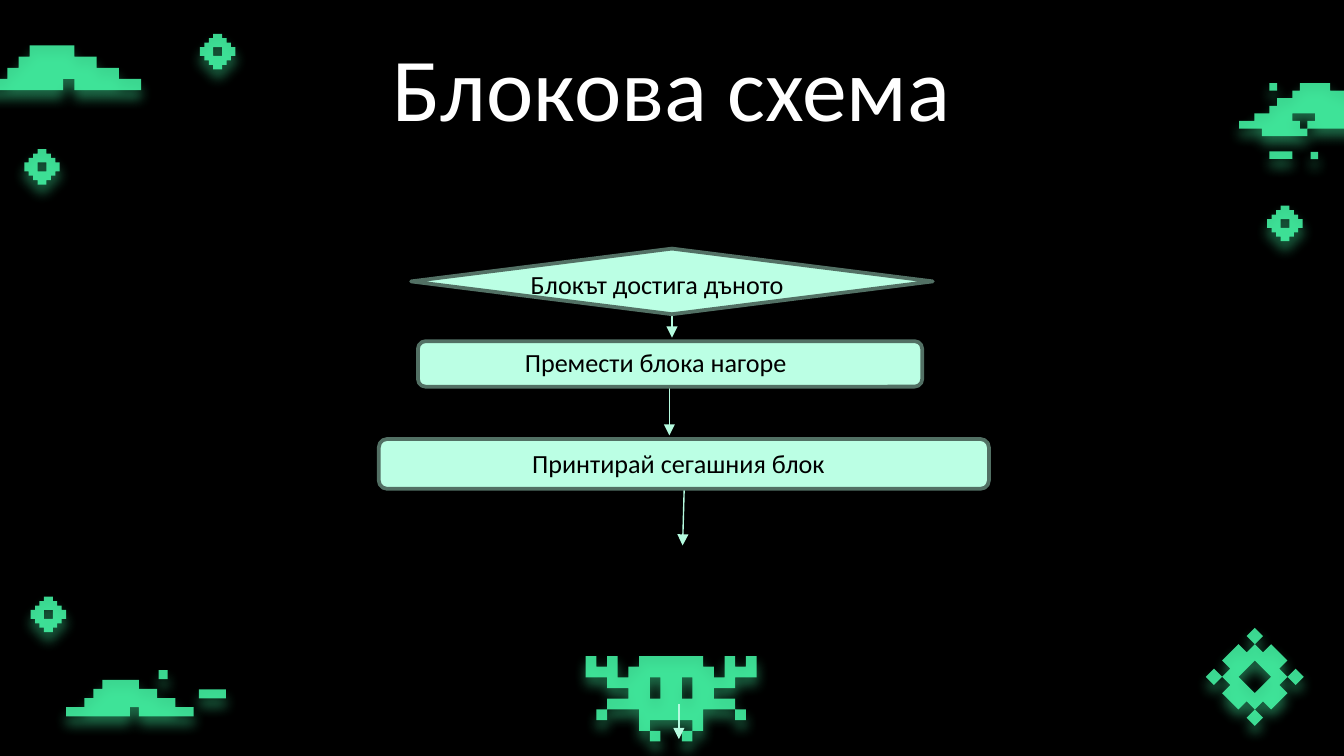
from lxml.etree import SubElement
from pptx import Presentation
from pptx.dml.color import RGBColor
from pptx.enum.shapes import MSO_CONNECTOR, MSO_SHAPE
from pptx.enum.text import MSO_ANCHOR, MSO_AUTO_SIZE, PP_ALIGN
from pptx.oxml.ns import qn
from pptx.util import Cm, Pt

THEME = {
    "font": "Calibri", "title_size": 48, "label_size": 14,
    "back": "000000", "title": "FFFFFF", "label": "000000",
    "neon": "44F6A5", "box": "BBFFE4", "border": "527064", "arrow": "B5FBDF",
}

TITLE = ("Блокова схема", (3.02, 0.05, 19.35, 2.59))

STEPS = [
    (MSO_SHAPE.DIAMOND, (7.77, 4.7, 9.86, 1.24),
     "Блокът достига дъното", (9.78, 4.95, 6.99, 0.86), PP_ALIGN.LEFT),
    (MSO_SHAPE.ROUNDED_RECTANGLE, (7.9, 6.45, 9.53, 0.86),
     "Премести блока нагоре", (7.9, 6.43, 8.99, 0.86), PP_ALIGN.CENTER),
    (MSO_SHAPE.ROUNDED_RECTANGLE, (7.16, 8.3, 11.53, 0.94),
     "Принтирай сегашния блок", (7.26, 8.33, 11.13, 0.86), PP_ALIGN.CENTER),
]

ARROWS = [
    (12.7, 5.77, 12.7, 6.38),
    (12.65, 7.32, 12.65, 8.23),
    (12.93, 9.25, 12.9, 10.31),
    (12.83, 13.31, 12.83, 13.97),
]

RING = [
    "...##...",
    "..####..",
    ".######.",
    "###..###",
    "###..###",
    ".######.",
    "..####..",
    "...##...",
]
MOUND = [
    "....####......",
    "...#######....",
    "..##########..",
    "#######.######",
]
CLOUD = [
    "....#...####...........",
    ".......#######.........",
    ".....###########.......",
    "....##############.....",
    "..#####...###########..",
    "########.##############",
    "...######..............",
    ".......................",
    ".......................",
    "....###................",
]
GEM = [
    "#.##.#",
    ".####.",
    "##..##",
    "##..##",
    ".####.",
    "#.##.#",
]
ALIEN = [
    "#.#..######..#.#",
    "###.########.###",
    "..####.##.####..",
    "....##.##.##....",
    "..############..",
    ".#...######...#.",
    ".....#....#.....",
    "......#..#......",
]
DOT, DASH = ["#"], ["###"]

SPRITES = [
    (RING, 0.58, 11.28, 0.67, 0),
    (RING, 23.95, 3.89, 0.67, 0),
    (RING, 0.46, 2.82, 0.67, 0),
    (RING, 3.78, 0.64, 0.67, 0),
    (MOUND, -0.28, 0.86, 2.95, 0),
    (MOUND, 1.25, 12.85, 2.41, 0),
    (DOT, 3.0, 12.67, 0.17, 0),
    (DASH, 3.76, 13.03, 0.51, 0),
    (CLOUD, 23.42, 1.57, 3.3, 0),
    (DOT, 24.77, 2.87, 0.14, 0),
    (GEM, 23.06, 12.14, 1.31, 45),
    (ALIEN, 11.07, 12.4, 3.23, 0),
]


def color(name):
    return RGBColor.from_string(THEME[name])


def lengths(values):
    return [Cm(v) for v in values]


def outlines(rows):
    edges = set()
    for y, row in enumerate(rows):
        for x, mark in enumerate(row):
            if mark == "#":
                ring = [(x, y), (x + 1, y), (x + 1, y + 1), (x, y + 1)]
                for a, b in zip(ring, ring[1:] + ring[:1]):
                    if (b, a) in edges:
                        edges.remove((b, a))
                    else:
                        edges.add((a, b))
    following = {}
    for a, b in sorted(edges):
        following.setdefault(a, []).append(b)
    loops = []
    for start in sorted(following):
        while following[start]:
            loop = [start]
            while following[loop[-1]]:
                loop.append(following[loop[-1]].pop())
            loops.append(loop[:-1])
    return loops


def add_sprite(s, rows, left, top, width, angle):
    cell = Cm(width) / len(rows[0])
    loops = outlines(rows)
    builder = s.shapes.build_freeform(*loops[0][0], scale=cell)
    builder.add_line_segments(loops[0][1:])
    for loop in loops[1:]:
        builder.move_to(*loop[0])
        builder.add_line_segments(loop[1:])
    sp = builder.convert_to_shape(Cm(left), Cm(top))
    sp.rotation = angle
    sp.fill.solid()
    sp.fill.fore_color.rgb = color("neon")
    sp.line.fill.background()
    sp.shadow.inherit = False
    props = sp._element.spPr
    fill = props.find(qn("a:solidFill")).find(qn("a:srgbClr"))
    SubElement(fill, qn("a:alpha"), val="87000")
    glow = SubElement(props.find(qn("a:effectLst")), qn("a:outerShdw"),
                      blurRad=str(Pt(6.75)), dist=str(Pt(4.5)),
                      dir="5400000", algn="bl", rotWithShape="0")
    tint = SubElement(glow, qn("a:srgbClr"), val=THEME["neon"])
    SubElement(tint, qn("a:alpha"), val="50000")


def write(tf, text, size, ink, align):
    tf.word_wrap = True
    p = tf.paragraphs[0]
    p.text = text
    p.alignment = align
    p.font.name = THEME["font"]
    p.font.size = Pt(THEME[size])
    p.font.color.rgb = color(ink)
    return p


def add_title(s, text, box):
    sp = s.shapes.title
    sp.left, sp.top, sp.width, sp.height = lengths(box)
    tf = sp.text_frame
    tf.auto_size = MSO_AUTO_SIZE.NONE
    tf.vertical_anchor = MSO_ANCHOR.TOP
    tf.margin_left = tf.margin_right = tf.margin_top = tf.margin_bottom = Cm(0.25)
    p = write(tf, text, "title_size", "title", PP_ALIGN.CENTER)
    p.line_spacing = 1.15
    p.space_before = Pt(0)
    p.space_after = Pt(10)


def add_arrow(s, ends):
    line = s.shapes.add_connector(MSO_CONNECTOR.STRAIGHT, *lengths(ends))
    line.line.color.rgb = color("arrow")
    line.line.width = Pt(0.75)
    props = line._element.spPr
    SubElement(props.find(qn("a:ln")), qn("a:tailEnd"), type="triangle")
    SubElement(props, qn("a:effectLst"))


def add_step(s, kind, box, text, label_box, align):
    sp = s.shapes.add_shape(kind, *lengths(box))
    sp.fill.solid()
    sp.fill.fore_color.rgb = color("box")
    sp.line.color.rgb = color("border")
    sp.line.width = Pt(2)
    sp.shadow.inherit = False
    label = s.shapes.add_textbox(*lengths(label_box))
    write(label.text_frame, text, "label_size", "label", align)


def main():
    prs = Presentation()
    prs.slide_width, prs.slide_height = Cm(25.4), Cm(14.29)
    s = prs.slides.add_slide(prs.slide_layouts[5])
    s.background.fill.solid()
    s.background.fill.fore_color.rgb = color("back")
    add_title(s, *TITLE)
    for sprite in SPRITES:
        add_sprite(s, *sprite)
    for ends in ARROWS:
        add_arrow(s, ends)
    for step in STEPS:
        add_step(s, *step)
    prs.save("out.pptx")


if __name__ == "__main__":
    main()
